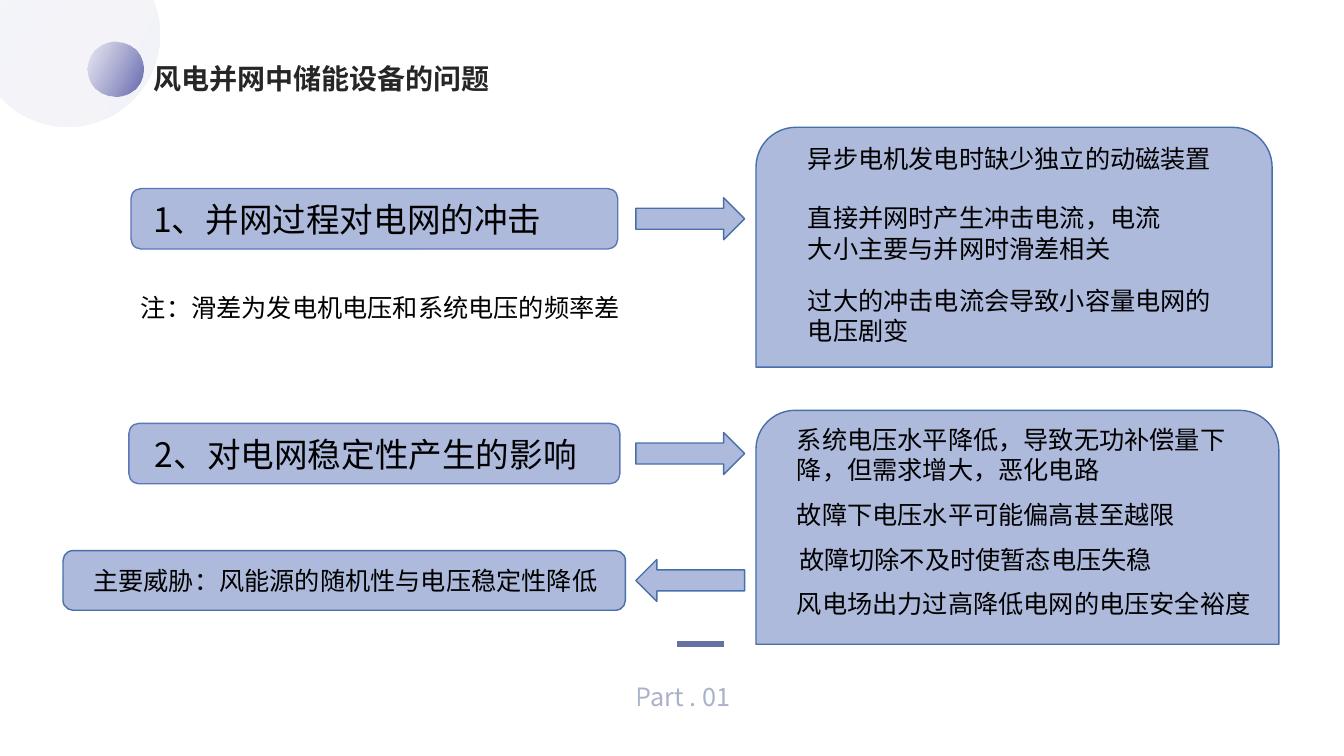
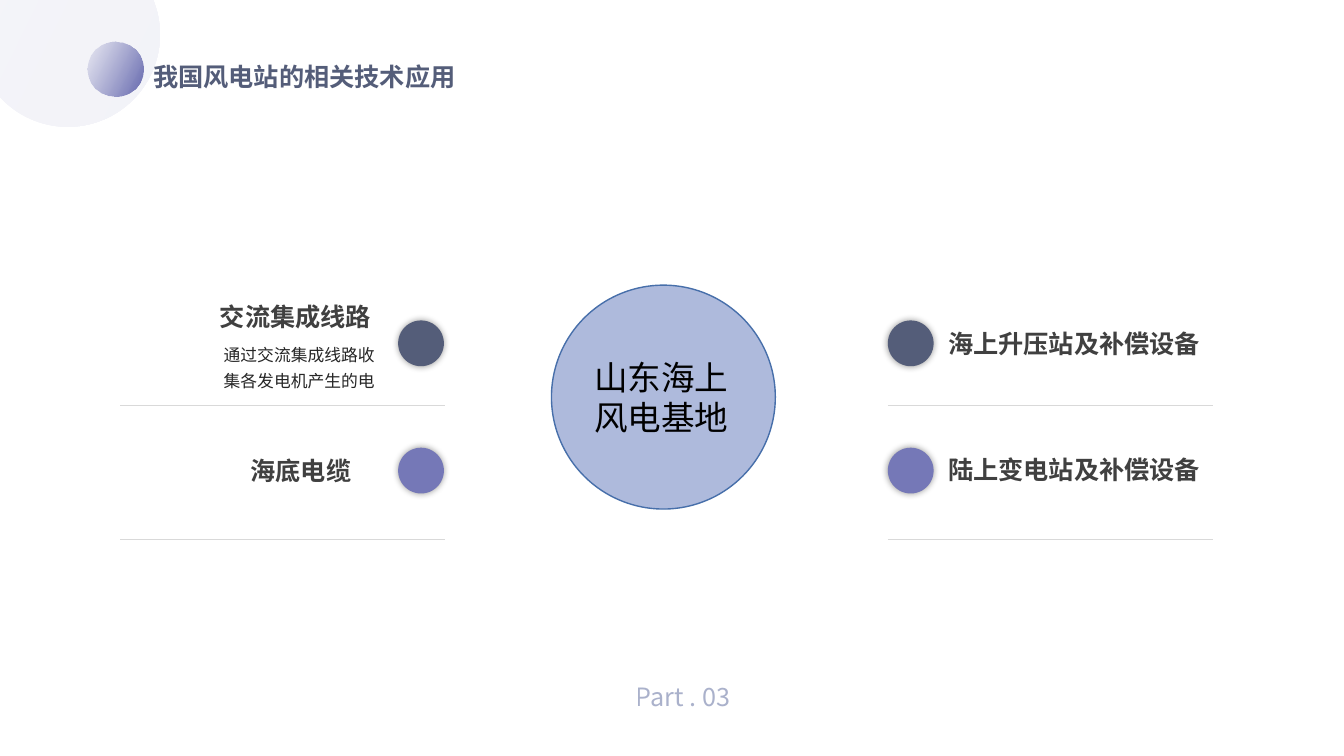
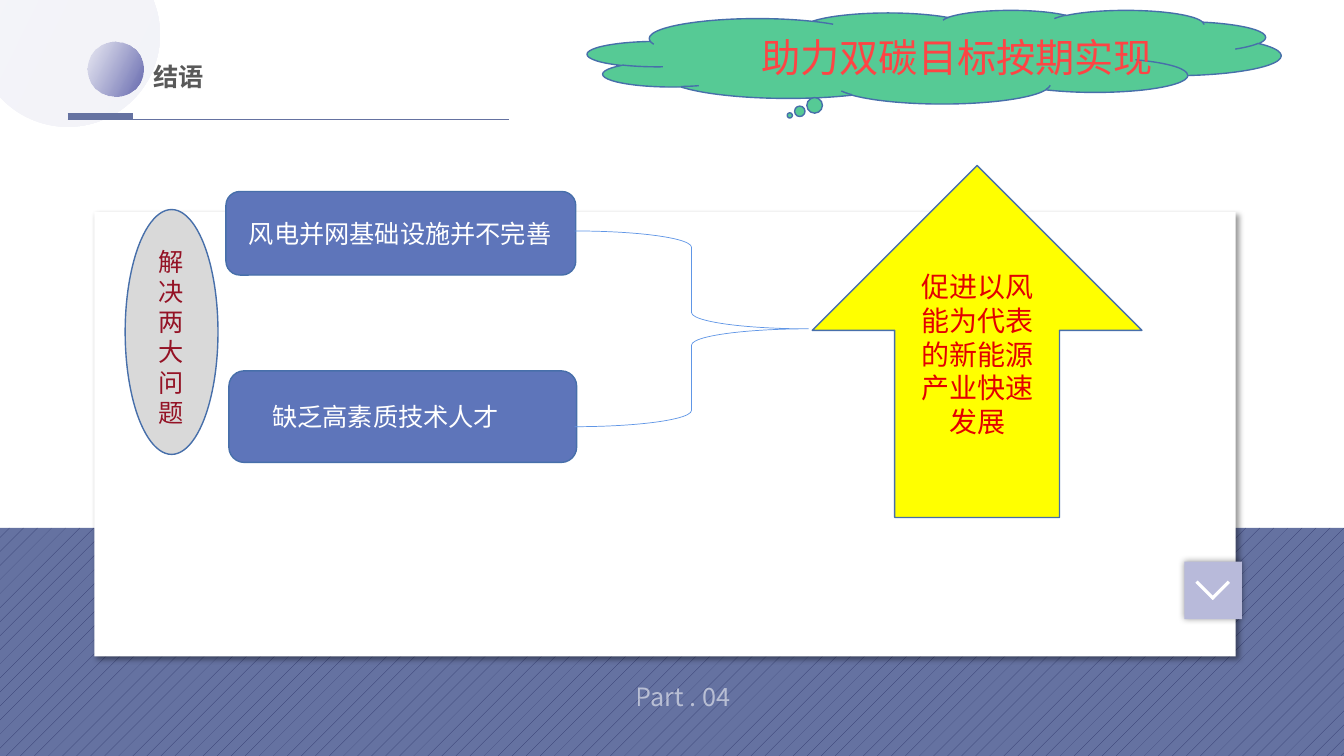
"""Build three slides on wind power grid connection on a grid of 32 columns by 18 rows."""
from lxml.etree import SubElement
from pptx import Presentation
from pptx.dml.color import RGBColor
from pptx.enum.dml import MSO_PATTERN
from pptx.enum.shapes import MSO_CONNECTOR, MSO_SHAPE as SHAPE
from pptx.enum.text import MSO_ANCHOR as ANCHOR, PP_ALIGN as ALIGN
from pptx.oxml.ns import qn
from pptx.util import Inches, Pt

FONT = "Noto Sans CJK SC"
EDGE, PALE, BLUE, SLATE = "476FAA", "AEBADC", "5E75BA", "6572A1"
NAVY, VIOLET = "545D79", "7578B7"
CELL = Inches(7.5) / 18
rgb = RGBColor.from_string


def draw(slide, preset, at, fill=None, edge=None, width=1):
    left, top, wide, high = [round(v * CELL) for v in at]
    if preset is None:
        return slide.shapes.add_textbox(left, top, wide, high)
    shape = slide.shapes.add_shape(preset, left, top, wide, high)
    shape.shadow.inherit = False
    if fill:
        shape.fill.solid()
        shape.fill.fore_color.rgb = rgb(fill)
    else:
        shape.fill.background()
    if edge:
        shape.line.color.rgb = rgb(edge)
        shape.line.width = Pt(width)
    else:
        shape.line.fill.background()
    return shape


def write(box, words, size=18, colour="000000", bold=False, align=ALIGN.LEFT,
          anchor=ANCHOR.TOP, left=0.24, spacing=None):
    frame = box.text_frame
    frame.word_wrap = True
    frame.vertical_anchor = anchor
    frame.margin_left = round(left * CELL)
    paragraph = frame.paragraphs[0]
    paragraph.text = words
    paragraph.alignment = align
    paragraph.line_spacing = spacing
    font = paragraph.font
    font.name, font.size, font.bold = FONT, Pt(size), bold
    font.color.rgb = rgb(colour)
    SubElement(font._rPr, qn("a:ea"), typeface=FONT)
    return box


deck = Presentation()
deck.slide_width, deck.slide_height = round(32 * CELL), round(18 * CELL)
rules, shadows = [], []

headings = [
    ("风电并网中储能设备的问题", 20, "262626", "Part . 01", SLATE),
    ("我国风电站的相关技术应用", 18, NAVY, "Part . 03", SLATE),
    ("结语", 18, "595959", "Part . 04", "FFFFFF"),
]
slides = [deck.slides.add_slide(deck.slide_layouts[6]) for _ in headings]
problems, technology, closing = slides

backdrop = draw(closing, SHAPE.RECTANGLE, (-0.1, 12.57, 32.1, 5.43))
backdrop.fill.patterned()
backdrop.fill.pattern = MSO_PATTERN.PERCENT_5
backdrop.fill.fore_color.rgb = rgb("2F366C")
backdrop.fill.back_color.rgb = rgb(SLATE)
card = draw(closing, SHAPE.RECTANGLE, (2.25, 5.05, 27.17, 10.58), "FFFFFF")
shadows.append((card, 4, 3, 45))

for slide, (title, size, colour, part, part_colour) in zip(slides, headings):
    for at, opacities in [((-0.58, -1.37, 4.39, 4.39), (8, 8)),
                          ((2.09, 0.98, 1.33, 1.33), (8, 100))]:
        orb = draw(slide, SHAPE.OVAL, at)
        orb.fill.gradient()
        orb.fill.gradient_angle = 334
        for stop, tint in zip(orb.fill.gradient_stops, (VIOLET, "6366AD")):
            stop.color.rgb = rgb(tint)
        for tint, opacity in zip(orb.element.iter(qn("a:srgbClr")), opacities):
            SubElement(tint, qn("a:alpha"), val=str(opacity * 1000))
    write(draw(slide, None, (3.41, 1.34, 11.8, 1)), title, size, colour, bold=True)
    footer = write(draw(slide, None, (14.9, 15.96, 3.55, 1.22)), part, 18, part_colour,
                   anchor=ANCHOR.MIDDLE)
    for tint in footer.element.iter(qn("a:srgbClr")):
        SubElement(tint, qn("a:alpha"), val="54000")

for words, size, at, edge, left in [
    ("1、并网过程对电网的冲击", 24, (3.12, 4.49, 11.59, 1.44), BLUE, 0.46),
    ("2、对电网稳定性产生的影响", 24, (3.07, 10.08, 11.69, 1.44), BLUE, 0.55),
    ("主要威胁：风能源的随机性与电压稳定性降低", 18, (1.5, 13.11, 13.39, 1.42), EDGE, 0.65),
]:
    write(draw(problems, SHAPE.ROUNDED_RECTANGLE, at, PALE, edge), words, size,
          anchor=ANCHOR.MIDDLE, left=left)
for preset, top in [(SHAPE.RIGHT_ARROW, 4.71), (SHAPE.RIGHT_ARROW, 10.3),
                    (SHAPE.LEFT_ARROW, 13.32)]:
    draw(problems, preset, (15.14, top, 2.59, 1), PALE, EDGE)
for at in [(18, 3.03, 12.29, 5.71), (18, 9.77, 12.45, 5.57)]:
    draw(problems, SHAPE.ROUND_2_SAME_RECTANGLE, at, PALE, EDGE)
for words, at in [
    ("异步电机发电时缺少独立的动磁装置", (19, 3.29, 10.34, 0.96)),
    ("直接并网时产生冲击电流，电流大小主要与并网时滑差相关", (19, 4.71, 9.17, 1.7)),
    ("过大的冲击电流会导致小容量电网的电压剧变", (19, 6.67, 10.12, 1.7)),
    ("注：滑差为发电机电压和系统电压的频率差", (3.12, 6.84, 12.29, 0.96)),
    ("系统电压水平降低，导致无功补偿量下降，但需求增大，恶化电路", (18.74, 9.98, 10.99, 1.7)),
    ("故障下电压水平可能偏高甚至越限", (18.74, 11.77, 11.4, 0.96)),
    ("故障切除不及时使暂态电压失稳", (18.79, 12.84, 9.6, 0.96)),
    ("风电场出力过高降低电网的电压安全裕度", (18.74, 13.89, 11.4, 0.96)),
]:
    write(draw(problems, None, at), words)
rules.append((problems, (16.13, 15.34), (17.23, 15.34), SLATE, 4.5))

for dot_left, rule_left in [(9.48, 2.86), (21.14, 21.14)]:
    for dot_top, colour, rule_top in [(7.63, NAVY, 9.65), (10.66, VIOLET, 12.84)]:
        dot = draw(technology, SHAPE.OVAL, (dot_left, dot_top, 1.09, 1.09), colour)
        shadows.append((dot, 5, 0, 0))
        rules.append((technology, (rule_left, rule_top), (rule_left + 7.73, rule_top),
                      "D9D9D9", 0.25))
for words, at, align in [
    ("海上升压站及补偿设备", (22.34, 7.7, 6.6, 0.96), ALIGN.LEFT),
    ("陆上变电站及补偿设备", (22.34, 10.7, 6.6, 0.96), ALIGN.LEFT),
    ("交流集成线路", (3.48, 7.06, 5.59, 0.96), ALIGN.RIGHT),
    ("海底电缆", (4.37, 10.73, 5.59, 0.96), ALIGN.CENTER),
]:
    write(draw(technology, None, at), words, 18, "404040", bold=True, align=align)
write(draw(technology, None, (5.09, 7.94, 4.15, 1.49)), "通过交流集成线路收集各发电机产生的电",
      12, "262626", spacing=1.3)
write(draw(technology, SHAPE.OVAL, (13.13, 6.79, 5.33, 5.33), PALE, EDGE), "山东海上风电基地",
      24, anchor=ANCHOR.MIDDLE)

for words, at, left in [
    ("风电并网基础设施并不完善", (5.38, 4.56, 8.33, 1.99), 0.45),
    ("缺乏高素质技术人才", (5.45, 8.83, 8.28, 2.18), 0.93),
]:
    write(draw(closing, SHAPE.ROUNDED_RECTANGLE, at, BLUE, EDGE), words, 18, "FFFFFF",
          anchor=ANCHOR.MIDDLE, left=left)
for preset, at, fill, words, words_at, size, colour in [
    (SHAPE.OVAL, (2.98, 4.99, 2.21, 5.83), "D9D9D9",
     "解决两大问题", (3.34, 5.74, 1.49, 4.61), 18, "941225"),
    (SHAPE.UP_ARROW, (19.34, 3.94, 7.85, 8.38), "FFFF00",
     "促进以风能为代表的新能源产业快速发展", (21.65, 6.31, 3.24, 3.62), 20, "E30000"),
    (SHAPE.CLOUD_CALLOUT, (13.99, 0.24, 16.51, 2.23), "56CA95",
     "助力双碳目标按期实现", (16.3, 0.67, 12.98, 1.37), 28, "FE4444"),
]:
    draw(closing, preset, at, fill, EDGE)
    write(draw(closing, None, words_at), words, size, colour, align=ALIGN.CENTER)
draw(closing, SHAPE.RIGHT_BRACE, (13.68, 5.5, 5.57, 4.66), edge="6096E6", width=0.5)
button = draw(closing, SHAPE.RECTANGLE, (28.2, 13.37, 1.37, 1.37), "B8BADA")
shadows.append((button, 5, 0, 0))
rules += [
    (closing, (1.61, 2.84), (12.12, 2.84), SLATE, 0.5),
    (closing, (1.61, 2.76), (3.17, 2.76), SLATE, 4),
    (closing, (28.49, 13.85), (28.9, 14.26), "FFFFFF", 2.25),
    (closing, (28.85, 14.26), (29.26, 13.85), "FFFFFF", 2.25),
]

for slide, start, end, colour, width in rules:
    rule = slide.shapes.add_connector(MSO_CONNECTOR.STRAIGHT,
                                      *[round(v * CELL) for v in start + end])
    rule.line.color.rgb = rgb(colour)
    rule.line.width = Pt(width)
    SubElement(rule.element.spPr, qn("a:effectLst"))

for shape, blur, distance, angle in shadows:
    outer = SubElement(shape.element.spPr.find(qn("a:effectLst")), qn("a:outerShdw"),
                       blurRad=str(Pt(blur)), dist=str(Pt(distance)),
                       dir=str(angle * 60000), rotWithShape="0")
    black = SubElement(outer, qn("a:srgbClr"), val="000000")
    SubElement(black, qn("a:alpha"), val="40000")

deck.save("out.pptx")
